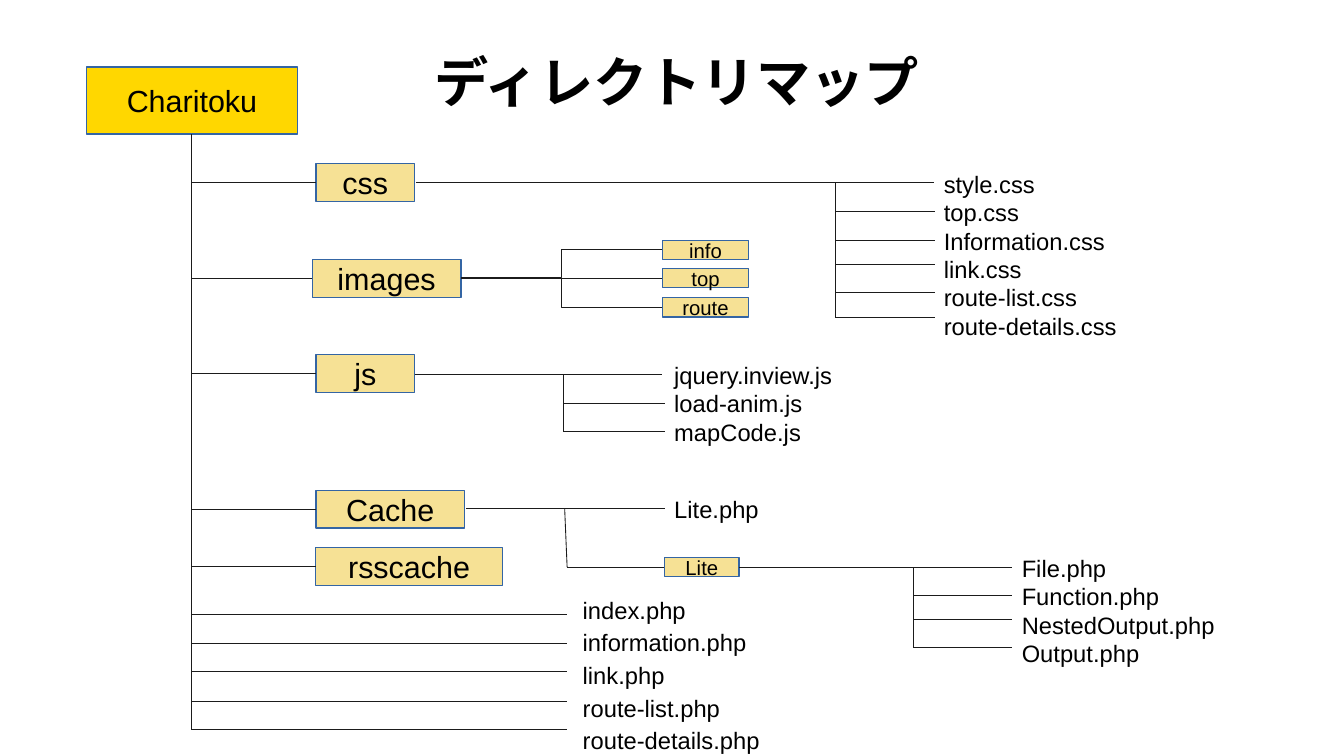
from dataclasses import dataclass

import pptx
import pptx.dml.color
import pptx.enum.shapes
import pptx.enum.text
import pptx.oxml.ns
import pptx.util
from lxml import etree

Inches = pptx.util.Inches
CONNECTOR = pptx.enum.shapes.MSO_CONNECTOR


@dataclass(frozen=True)
class Theme:
    font: str = "Arial"
    title_font: str = "Noto Sans CJK JP"
    text: str = "000000"
    root_fill: str = "FFD700"
    folder_fill: str = "F6E195"
    border: str = "3465A4"
    branch: str = "1B1B1B"
    title_size: int = 32
    folder_size: int = 18
    file_size: int = 14
    subfolder_size: int = 12


THEME = Theme()

# Name, left, top, width
FOLDERS = [
    ("css", 2.59, 1.34, 0.81),
    ("images", 2.56, 2.13, 1.22),
    ("js", 2.59, 2.91, 0.81),
    ("Cache", 2.59, 4.02, 1.22),
    ("rsscache", 2.59, 4.49, 1.53),
]
FOLDER_HEIGHT = 0.31
SUBFOLDER_HEIGHT = 0.16
TRUNK_X = 1.57
CSS_Y, IMAGES_Y, JS_Y, CACHE_Y, LITE_Y = 1.5, 2.28, 3.07, 4.17, 4.65


def rgb(value):
    return pptx.dml.color.RGBColor.from_string(value)


def format_font(paragraph, size, name=THEME.font, bold=False):
    for run in paragraph.runs:
        run.font.size = pptx.util.Pt(size)
        run.font.name = name
        run.font.bold = bold
        run.font.color.rgb = rgb(THEME.text)


def add_title(slide, text):
    title = slide.shapes.title
    title.left, title.top = Inches(2.36), Inches(0.34)
    title.width, title.height = Inches(6.38), Inches(0.64)
    frame = title.text_frame
    frame.text = text
    frame.margin_left = frame.margin_right = 0
    frame.margin_top = frame.margin_bottom = 0
    frame.vertical_anchor = pptx.enum.text.MSO_ANCHOR.MIDDLE
    heading = frame.paragraphs[0]
    heading.alignment = pptx.enum.text.PP_ALIGN.CENTER
    format_font(heading, THEME.title_size, THEME.title_font, bold=True)
    properties = heading.runs[0].font._element
    east_asian = etree.Element(pptx.oxml.ns.qn("a:ea"), typeface=THEME.title_font)
    properties.find(pptx.oxml.ns.qn("a:latin")).addnext(east_asian)


def add_folder(slide, name, left, top, width, height=FOLDER_HEIGHT,
               size=THEME.folder_size, fill=THEME.folder_fill):
    folder = slide.shapes.add_shape(
        pptx.enum.shapes.MSO_SHAPE.RECTANGLE,
        Inches(left), Inches(top), Inches(width), Inches(height))
    folder.shadow.inherit = False
    folder.fill.solid()
    folder.fill.fore_color.rgb = rgb(fill)
    folder.line.color.rgb = rgb(THEME.border)
    folder.line.width = 0
    frame = folder.text_frame
    frame.text = name
    frame.word_wrap = False
    frame.vertical_anchor = pptx.enum.text.MSO_ANCHOR.MIDDLE
    frame.paragraphs[0].alignment = pptx.enum.text.PP_ALIGN.CENTER
    format_font(frame.paragraphs[0], size)


def add_subfolder(slide, name, left, top, width):
    add_folder(slide, name, left, top, width, SUBFOLDER_HEIGHT, THEME.subfolder_size)


def add_files(slide, names, left, top, width, height, spacing=1.0):
    files = slide.shapes.add_textbox(
        Inches(left), Inches(top), Inches(width), Inches(height))
    frame = files.text_frame
    frame.text = "\n".join(names)
    frame.word_wrap = True
    frame.auto_size = pptx.enum.text.MSO_AUTO_SIZE.SHAPE_TO_FIT_TEXT
    for paragraph in frame.paragraphs:
        paragraph.line_spacing = spacing
        format_font(paragraph, THEME.file_size)


def add_branch(slide, x1, y1, x2, y2, kind=CONNECTOR.STRAIGHT):
    branch = slide.shapes.add_connector(
        kind, Inches(x1), Inches(y1), Inches(x2), Inches(y2))
    branch.line.color.rgb = rgb(THEME.branch)
    branch.line.width = pptx.util.Pt(0.5)
    etree.SubElement(branch._element.spPr, pptx.oxml.ns.qn("a:effectLst"))


def add_comb(slide, trunk_x, top, right, levels):
    """Draw a trunk down to the last level, with a branch to the right at each."""
    add_branch(slide, trunk_x, top, trunk_x, levels[-1])
    for y in levels:
        add_branch(slide, trunk_x, y, right, y)


def add_root_tree(slide):
    add_folder(slide, "Charitoku", 0.71, 0.55, 1.73, 0.55, fill=THEME.root_fill)
    add_branch(slide, TRUNK_X, 1.1, TRUNK_X, LITE_Y)
    for name, left, top, width in FOLDERS:
        add_folder(slide, name, left, top, width)
        middle = top + FOLDER_HEIGHT / 2
        add_branch(slide, TRUNK_X, middle, left, middle)
    add_comb(slide, TRUNK_X, LITE_Y, 4.65, [5.04, 5.28, 5.51, 5.75, 5.98])
    add_files(slide, ["index.php", "information.php", "link.php",
                      "route-list.php", "route-details.php"],
              4.68, 4.8, 1.94, 1.35, spacing=1.15)


def add_css_tree(slide):
    add_branch(slide, 3.41, CSS_Y, 7.66, CSS_Y)
    add_comb(slide, 6.85, CSS_Y, 7.67, [1.73, 1.97, 2.17, 2.4, 2.6])
    add_files(slide, ["style.css", "top.css", "Information.css", "link.css",
                      "route-list.css", "route-details.css"],
              7.64, 1.34, 1.65, 1.66)


def add_images_tree(slide):
    subfolders = [("info", 1.97, CONNECTOR.ELBOW),
                  ("top", 2.2, CONNECTOR.STRAIGHT),
                  ("route", 2.44, CONNECTOR.ELBOW)]
    for name, top, kind in subfolders:
        add_subfolder(slide, name, 5.43, top, 0.71)
        add_branch(slide, 3.78, IMAGES_Y, 5.43, top + SUBFOLDER_HEIGHT / 2, kind)


def add_js_tree(slide):
    add_branch(slide, 3.4, JS_Y, 5.43, JS_Y)
    add_comb(slide, 4.62, JS_Y, 5.45, [3.31, 3.54])
    add_files(slide, ["jquery.inview.js", "load-anim.js", "mapCode.js"],
              5.43, 2.91, 1.83, 0.75)


def add_cache_tree(slide):
    add_branch(slide, 3.82, CACHE_Y, 5.45, CACHE_Y)
    add_files(slide, ["Lite.php"], 5.43, 4.01, 1.12, 0.32)
    add_branch(slide, 4.63, CACHE_Y, 4.65, LITE_Y)
    add_branch(slide, 4.65, LITE_Y, 5.46, LITE_Y)
    add_subfolder(slide, "Lite", 5.45, 4.57, 0.61)
    add_branch(slide, 6.06, LITE_Y, 8.3, LITE_Y)
    add_comb(slide, 7.49, LITE_Y, 8.3, [4.88, 5.08, 5.31])
    add_files(slide, ["File.php", "Function.php", "NestedOutput.php", "Output.php"],
              8.28, 4.49, 2.04, 0.97)


def main():
    deck = pptx.Presentation()
    deck.slide_width, deck.slide_height = Inches(11.02), Inches(6.2)
    slide = deck.slides.add_slide(deck.slide_layouts.get_by_name("Title Only"))
    add_title(slide, "ディレクトリマップ")
    add_root_tree(slide)
    add_css_tree(slide)
    add_images_tree(slide)
    add_js_tree(slide)
    add_cache_tree(slide)
    deck.save("out.pptx")


if __name__ == "__main__":
    main()
